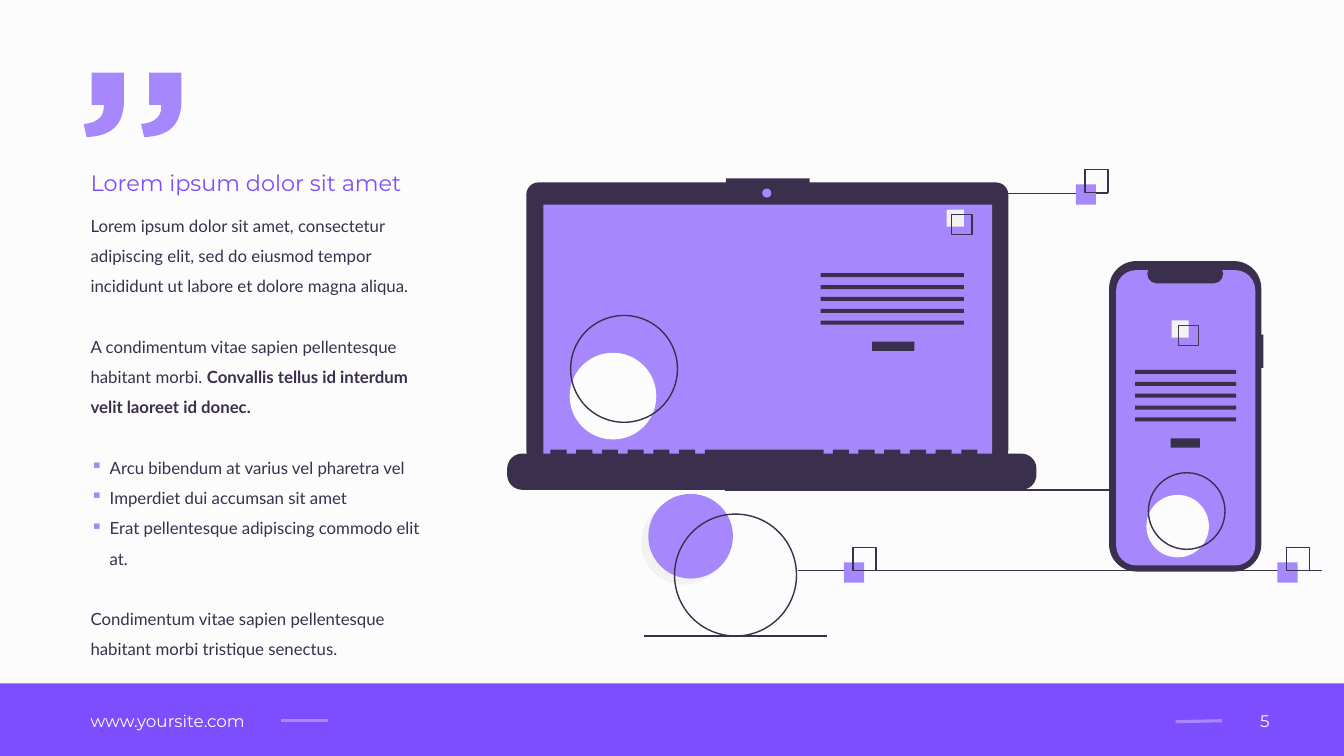
from dataclasses import dataclass
from typing import Any

from lxml import etree
from pptx import Presentation
from pptx.dml.color import RGBColor
from pptx.enum.shapes import MSO_CONNECTOR, MSO_SHAPE
from pptx.enum.text import MSO_ANCHOR, MSO_AUTO_SIZE, PP_ALIGN
from pptx.oxml.ns import qn
from pptx.util import Inches, Pt

RECT, OVAL = MSO_SHAPE.RECTANGLE, MSO_SHAPE.OVAL
ROUND = MSO_SHAPE.ROUNDED_RECTANGLE
STRAIGHT = MSO_CONNECTOR.STRAIGHT
TOP, MIDDLE = MSO_ANCHOR.TOP, MSO_ANCHOR.MIDDLE
LEFT, RIGHT = PP_ALIGN.LEFT, PP_ALIGN.RIGHT
FIXED = MSO_AUTO_SIZE.NONE
DARK, LILAC, VIOLET = "3B2F4E", "A688FC", "7C4EFD"
WHITE, PALE, SLATE = "FCFCFC", "F2F2F2", "3F3D56"
HEAD, BODY = "Montserrat", "Lato"
Point = tuple[float, float]


@dataclass
class Part:
    """A filled or outlined preset shape, in inches."""
    kind: Any
    x: float
    y: float
    w: float
    h: float
    fill: str = ""
    line: str = ""
    curve: float = 0


@dataclass
class Rule:
    """A straight line, in inches."""
    start: Point
    end: Point
    hue: str = DARK
    width: float = 1


@dataclass
class Para:
    """A paragraph of (words, bold) runs."""
    runs: list[tuple[str, bool]]
    gap: float = 0
    dot: bool = False


@dataclass
class Style:
    """The look of a text frame."""
    font: str
    size: float
    hue: str
    align: Any = LEFT
    anchor: Any = TOP
    pitch: float = 1


def paint(color: Any, code: str) -> None:
    """Set a colour from a hex string."""
    color.rgb = RGBColor.from_string(code)


def apply(target: Any, values: dict[str, Any]) -> None:
    """Set each named value on the target."""
    for key, value in values.items():
        setattr(target, key, value)


def flood(fill: Any, code: str) -> None:
    """Give a fill its colour, or clear it."""
    if code:
        fill.solid()
        paint(fill.fore_color, code)
    else:
        fill.background()


def draw(shapes: Any, item: Part | Rule) -> None:
    """Add one part or rule."""
    if isinstance(item, Rule):
        ends = [Inches(v) for v in item.start + item.end]
        rule = shapes.add_connector(STRAIGHT, *ends)
        paint(rule.line.color, item.hue)
        rule.line.width = Pt(item.width)
        etree.SubElement(rule._element.spPr, qn("a:effectLst"))
        return
    box = [Inches(v) for v in (item.x, item.y, item.w, item.h)]
    shape = shapes.add_shape(item.kind, *box)
    shape.shadow.inherit = False
    flood(shape.fill, item.fill)
    flood(shape.line.fill, item.line)
    if item.line:
        shape.line.width = Pt(1)
    if item.curve:
        shape.adjustments[0] = item.curve / min(item.w, item.h)


def write(frame: Any, paras: list[Para], style: Style) -> None:
    """Fill a text frame with styled paragraphs."""
    apply(frame, {"word_wrap": True, "auto_size": FIXED, "vertical_anchor": style.anchor})
    for i, para in enumerate(paras):
        line = frame.add_paragraph() if i else frame.paragraphs[0]
        apply(line, {"alignment": style.align, "line_spacing": style.pitch,
                     "space_before": Pt(para.gap)})
        for words, bold in para.runs:
            run = line.add_run()
            run.text = words
            apply(run.font, {"name": style.font, "size": Pt(style.size), "bold": bold})
            paint(run.font.color, style.hue)
        if para.dot:
            props = line._p.get_or_add_pPr()
            props.set("marL", str(Inches(0.19)))
            props.set("indent", str(Inches(-0.19)))
            tint = etree.SubElement(props, qn("a:buClr"))
            etree.SubElement(tint, qn("a:srgbClr"), val=LILAC)
            etree.SubElement(props, qn("a:buChar"), char="▪")


def label(slide: Any, box: tuple, paras: list[Para], style: Style) -> None:
    """Add a text box."""
    area = slide.shapes.add_textbox(*[Inches(v) for v in box])
    write(area.text_frame, paras, style)


def bend(a: Point, b: Point, c: Point, d: Point) -> list[Point]:
    """Sample a cubic curve from a to d."""
    steps = [i / 16 for i in range(17)]
    return [tuple((1 - t) ** 3 * p + 3 * t * (1 - t) ** 2 * q + 3 * t * t * (1 - t) * r
                  + t ** 3 * s for p, q, r, s in zip(a, b, c, d)) for t in steps]


def quote(shapes: Any, left: float) -> None:
    """Draw one quote mark."""
    tail = bend((0, 0.51), (0.13, 0.5), (0.2, 0.44), (0.2, 0.34))
    back = bend((0.4, 0.27), (0.4, 0.53), (0.27, 0.63), (0.03, 0.64))
    edge = tail + [(0.2, 0.32), (0.08, 0.32), (0.08, 0), (0.4, 0)] + back
    spots = [(Inches(left + x), Inches(0.72 + y)) for x, y in edge]
    pen = shapes.build_freeform(*spots[0])
    pen.add_line_segments(spots[1:], close=True)
    mark = pen.convert_to_shape()
    mark.shadow.inherit = False
    flood(mark.fill, LILAC)
    mark.line.fill.background()


def ring(x: float, y: float, size: float) -> Part:
    """Make an outlined circle."""
    return Part(OVAL, x, y, size, size, line=DARK)


def disc(x: float, y: float, size: float, fill: str) -> Part:
    """Make a filled circle."""
    return Part(OVAL, x, y, size, size, fill)


def pair(x: float, y: float, size: float, fill: str, shift: Point,
         frame: float, line: str = DARK) -> list[Part]:
    """Make a filled square with an outlined one over it."""
    return [Part(RECT, x, y, size, size, fill),
            Part(RECT, x + shift[0], y + shift[1], frame, frame, line=line)]


def stripes(x: float, y: float, width: float) -> list[Part]:
    """Make five bars that stand for text."""
    return [Part(RECT, x, y + 0.118 * i, width, 0.04, DARK) for i in range(5)]


def laptop() -> list[Part]:
    """List the laptop's parts."""
    keys = [Part(RECT, start + 0.255 * i, 4.46, 0.16, 0.06, DARK)
            for start in (5.46, 8.26) for i in range(6)]
    return [Part(ROUND, 5.22, 1.81, 4.78, 2.78, DARK, curve=0.12),
            Part(RECT, 7.2, 1.77, 0.83, 0.1, DARK),
            Part(RECT, 5.39, 2.03, 4.45, 2.51, LILAC),
            disc(7.56, 1.87, 0.09, LILAC), disc(5.65, 3.5, 0.86, WHITE),
            Part(RECT, 8.65, 3.39, 0.42, 0.09, DARK), *stripes(8.14, 2.71, 1.42),
            *pair(9.39, 2.08, 0.17, PALE, (0.05, 0.05), 0.2), *keys,
            Part(RECT, 6.99, 4.46, 1.18, 0.06, DARK),
            Part(ROUND, 5.03, 4.5, 5.25, 0.36, DARK, curve=0.15), ring(5.66, 3.13, 1.06)]


def phone() -> list[Part]:
    """List the phone's parts."""
    return [Part(ROUND, 11, 2.59, 1.51, 3.08, DARK, curve=0.27),
            Part(RECT, 12.5, 3.32, 0.03, 0.33, DARK),
            Part(ROUND, 11.07, 2.68, 1.38, 2.93, LILAC, curve=0.2),
            Part(ROUND, 11.38, 2.62, 0.75, 0.19, DARK, curve=0.09),
            Part(RECT, 11.61, 4.35, 0.29, 0.09, DARK), *stripes(11.26, 3.67, 1),
            *pair(11.62, 3.18, 0.17, PALE, (0.07, 0.05), 0.2, SLATE),
            disc(11.37, 4.91, 0.62, WHITE), ring(11.39, 4.69, 0.76)]


def main() -> None:
    """Build the slide."""
    deck = Presentation()
    apply(deck, {"slide_width": Inches(13.33), "slide_height": Inches(7.5)})
    slide = deck.slides.add_slide(deck.slide_layouts[5])
    flood(slide.background.fill, WHITE)
    for item in (Part(RECT, 0, 6.78, 13.33, 0.72, VIOLET),
                 Rule((12.12, 7.15), (11.66, 7.16), LILAC, 2.25),
                 Rule((2.79, 7.15), (3.25, 7.15), LILAC, 2.25)):
        draw(slide.shapes, item)
    for box, words, align in (((12.12, 6.95, 0.57, 0.4), "5", RIGHT),
                              ((0.8, 6.95, 1.99, 0.4), "www.yoursite.com", LEFT)):
        label(slide, box, [Para([(words, False)])], Style(HEAD, 12, WHITE, align, MIDDLE))
    label(slide, (0.8, 1.99, 3.47, 4.61), [
        Para([("Lorem ipsum dolor sit amet, consectetur adipiscing elit, sed do eiusmod "
               "tempor incididunt ut labore et dolore magna aliqua.", False)]),
        Para([("A condimentum vitae sapien pellentesque habitant morbi. ", False),
              ("Convallis tellus id interdum velit laoreet id donec.", True)], 21.6),
        Para([("Arcu bibendum at varius vel pharetra vel", False)], 21.6, True),
        Para([("Imperdiet dui accumsan sit amet", False)], dot=True),
        Para([("Erat pellentesque adipiscing commodo elit at.", False)], dot=True),
        Para([("Condimentum vitae sapien pellentesque habitant morbi tristique senectus.",
               False)], 21.6)], Style(BODY, 12, DARK, pitch=1.5))
    marks = slide.shapes.add_group_shape().shapes
    for left in (0.83, 1.4):
        quote(marks, left)
    nodes = [part for x, y in ((8.37, 5.58), (10.67, 1.83), (12.67, 5.58))
             for part in pair(x, y, 0.2, LILAC, (0.09, -0.15), 0.23)]
    rules = [Rule((x, y), (end, y)) for x, end, y in
             ((9.19, 10.99, 1.92), (7.91, 13.11, 5.66), (6.39, 8.2, 6.31))]
    scene = slide.shapes.add_group_shape().shapes
    for item in [disc(6.36, 4.96, 0.84, PALE), disc(6.43, 4.9, 0.84, LILAC),
                 Rule((7.19, 4.86), (12.39, 4.86)), *laptop(), *rules, *nodes,
                 *phone(), ring(6.69, 5.1, 1.21)]:
        draw(scene, item)
    title = slide.shapes.title
    apply(title, {"left": Inches(0.8), "top": Inches(1.57),
                  "width": Inches(3.5), "height": Inches(0.4)})
    write(title.text_frame, [Para([("Lorem ipsum dolor sit amet", False)])],
          Style(HEAD, 16, VIOLET, pitch=1.2))
    deck.save("out.pptx")


if __name__ == "__main__":
    main()
